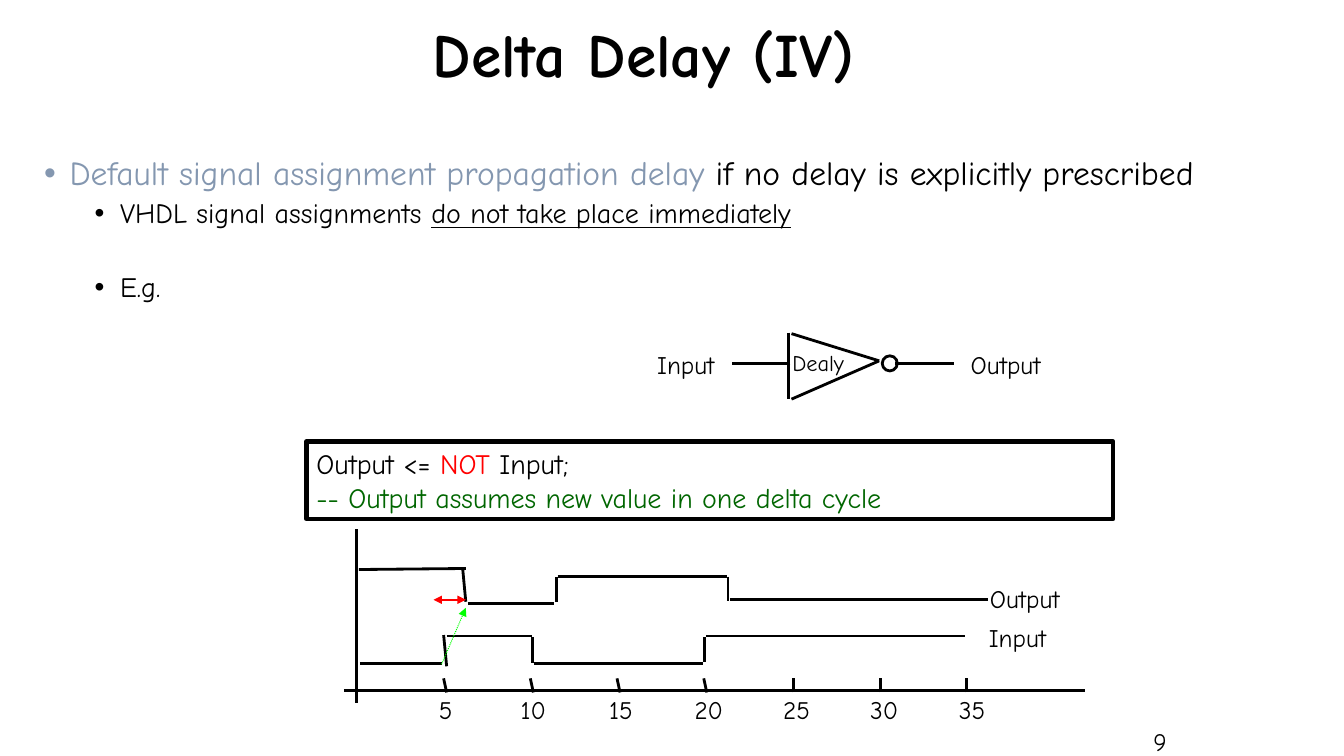
from lxml.etree import SubElement
from pptx import Presentation
from pptx.dml.color import RGBColor
from pptx.enum.dml import MSO_LINE
from pptx.enum.shapes import MSO_CONNECTOR, MSO_SHAPE
from pptx.enum.text import MSO_ANCHOR, PP_ALIGN
from pptx.oxml.ns import qn
from pptx.util import Cm, Pt

BLACK = RGBColor(0, 0, 0)
RED = RGBColor(255, 0, 0)
GREEN = RGBColor(0, 102, 0)
LIME = RGBColor(0, 255, 0)
SLATE = RGBColor(132, 151, 176)
FONT = "Comic Neue"

TITLE = {"alignment": PP_ALIGN.CENTER, "line_spacing": 0.9}
MID = {"alignment": PP_ALIGN.CENTER}
RIGHT = {"alignment": PP_ALIGN.RIGHT}
FRAME = {"margin_left": Cm(0.25), "margin_right": Cm(0.25),
         "margin_top": Cm(0.13), "margin_bottom": Cm(0.13)}
WRAP = FRAME | {"word_wrap": True}
CENTER = WRAP | {"vertical_anchor": MSO_ANCHOR.MIDDLE}
SNUG = FRAME | {"word_wrap": False}

GATE = [
    (7.85, 3.31, 8.72, 3.58), (7.85, 3.96, 8.72, 3.58),
    (7.82, 3.3, 7.82, 3.96), (7.84, 3.61, 7.26, 3.61),
    (9.46, 3.61, 8.88, 3.61),
]
AXES = [(3.54, 5.25, 3.54, 6.97), (3.41, 6.85, 10.76, 6.85)]
INPUT = [
    (3.57, 6.58, 4.38, 6.58), (4.43, 6.61, 4.4, 6.3),
    (4.43, 6.31, 5.28, 6.31), (5.28, 6.32, 5.28, 6.58),
    (5.3, 6.58, 6.97, 6.58), (6.99, 6.32, 6.99, 6.57),
    (7, 6.31, 9.57, 6.31),
]
OUTPUT = [
    (3.56, 5.65, 4.62, 5.64), (4.62, 5.97, 4.59, 5.65),
    (4.64, 5.99, 5.49, 5.99), (5.52, 5.72, 5.52, 5.97),
    (5.53, 5.72, 7.21, 5.72), (7.22, 5.72, 7.22, 5.96),
    (7.24, 5.95, 9.8, 5.95),
]
LABELS = [
    ("Dealy", 7.76, 3.41, 0.78, 16), ("Input", 6.42, 3.41, 0.86, 18),
    ("Output", 9.53, 3.41, 1.04, 18), ("Input", 9.71, 6.12, 0.86, 18),
    ("Output", 9.72, 5.74, 1.04, 18),
]


def inch(*nums):
    return [Cm(num * 2.54) for num in nums]


def style(item, form):
    for name, value in form.items():
        setattr(item, name, value)


def write(para, text, size, color=BLACK, **form):
    run = para.add_run()
    run.text = text
    style(run.font, {"name": FONT, "size": Pt(size)} | form)
    run.font.color.rgb = color


def box(slide, place, form):
    frame = slide.shapes.add_textbox(*inch(*place)).text_frame
    style(frame, form)
    return frame


def label(slide, text, place, size, form, para_form, **font):
    para = box(slide, place, form).paragraphs[0]
    style(para, para_form)
    write(para, text, size, **font)


def bullet(para, level, before):
    style(para, {"level": level, "line_spacing": 0.9, "space_before": Pt(before)})
    props = para._p.get_or_add_pPr()
    props.set("marL", str(Cm(0.64 + 1.27 * level)))
    props.set("indent", str(-Cm(0.64)))
    SubElement(props, qn("a:buFont")).set("typeface", "Arial")
    SubElement(props, qn("a:buChar")).set("char", "•")


def shape(slide, kind, place, width):
    item = slide.shapes.add_shape(kind, *inch(*place))
    item.shadow.inherit = False
    item.fill.background()
    item.line.color.rgb = BLACK
    item.line.width = Pt(width)
    return item


def line(slide, ends, color=BLACK, heads=(), **form):
    item = slide.shapes.add_connector(MSO_CONNECTOR.STRAIGHT, *inch(*ends))
    item.line.color.rgb = color
    style(item.line, {"width": Pt(2)} | form)
    for head in heads:
        SubElement(item.line._ln, qn(head)).set("type", "triangle")
    SubElement(item._element.spPr, qn("a:effectLst"))


def points(slide):
    frame = box(slide, (0.34, 1.5, 12.99, 5.72), WRAP)
    main_point = frame.paragraphs[0]
    bullet(main_point, 0, 10)
    write(main_point, "Default signal assignment propagation delay ", 24, SLATE)
    write(main_point, "if no delay is explicitly prescribed", 24)
    rule = frame.add_paragraph()
    bullet(rule, 1, 5)
    write(rule, "VHDL signal assignments ", 20)
    write(rule, "do not take place immediately", 20, underline=True)
    sample = frame.add_paragraph()
    bullet(sample, 1, 31)
    write(sample, "E.g.", 20)


def code(slide):
    frame = shape(slide, MSO_SHAPE.RECTANGLE, (3.04, 4.38, 8, 0.77), 3).text_frame
    style(frame, CENTER | {"vertical_anchor": MSO_ANCHOR.TOP})
    first, note = frame.paragraphs[0], frame.add_paragraph()
    for para in (first, note):
        para.alignment = PP_ALIGN.LEFT
    for text, color in (("Output <= ", BLACK), ("NOT", RED), (" Input;", BLACK)):
        write(first, text, 20, color)
    write(note, "-- Output assumes new value in one delta cycle", 20, GREEN)


def ticks(slide):
    for step in range(7):
        foot = 4.43 + 0.86 * step
        lean = 0.03 if step < 4 else 0
        line(slide, (foot, 6.87, foot - lean, 6.73))
        wide = 0.5 if step else 0.35
        left = 4.42 + 0.87 * step - wide / 2
        label(slide, str(5 * step + 5), (left, 6.84, wide, 0.4), 18, SNUG, MID)


def main():
    deck = Presentation()
    deck.slide_width, deck.slide_height = inch(13.33, 7.5)
    slide = deck.slides.add_slide(deck.slide_layouts[6])
    label(slide, "9", (10.71, 7.22, 0.96, 0.28), 18, CENTER, RIGHT)
    label(slide, "Delta Delay (IV)", (2.26, -0.01, 8.25, 1.17), 44,
          CENTER, TITLE, bold=True)
    points(slide)
    code(slide)
    for ends in GATE + AXES + INPUT + OUTPUT:
        line(slide, ends)
    shape(slide, MSO_SHAPE.OVAL, (8.75, 3.53, 0.15, 0.15), 2)
    for text, left, top, wide, size in LABELS:
        label(slide, text, (left, top, wide, 0.4), size, SNUG, {})
    ticks(slide)
    line(slide, (4.38, 6.59, 4.62, 6.03), LIME, ["a:tailEnd"],
         width=Pt(0.75), dash_style=MSO_LINE.ROUND_DOT)
    line(slide, (4.3, 5.95, 4.62, 5.95), RED, ["a:headEnd", "a:tailEnd"],
         width=Pt(1.25))
    deck.save("out.pptx")


main()
